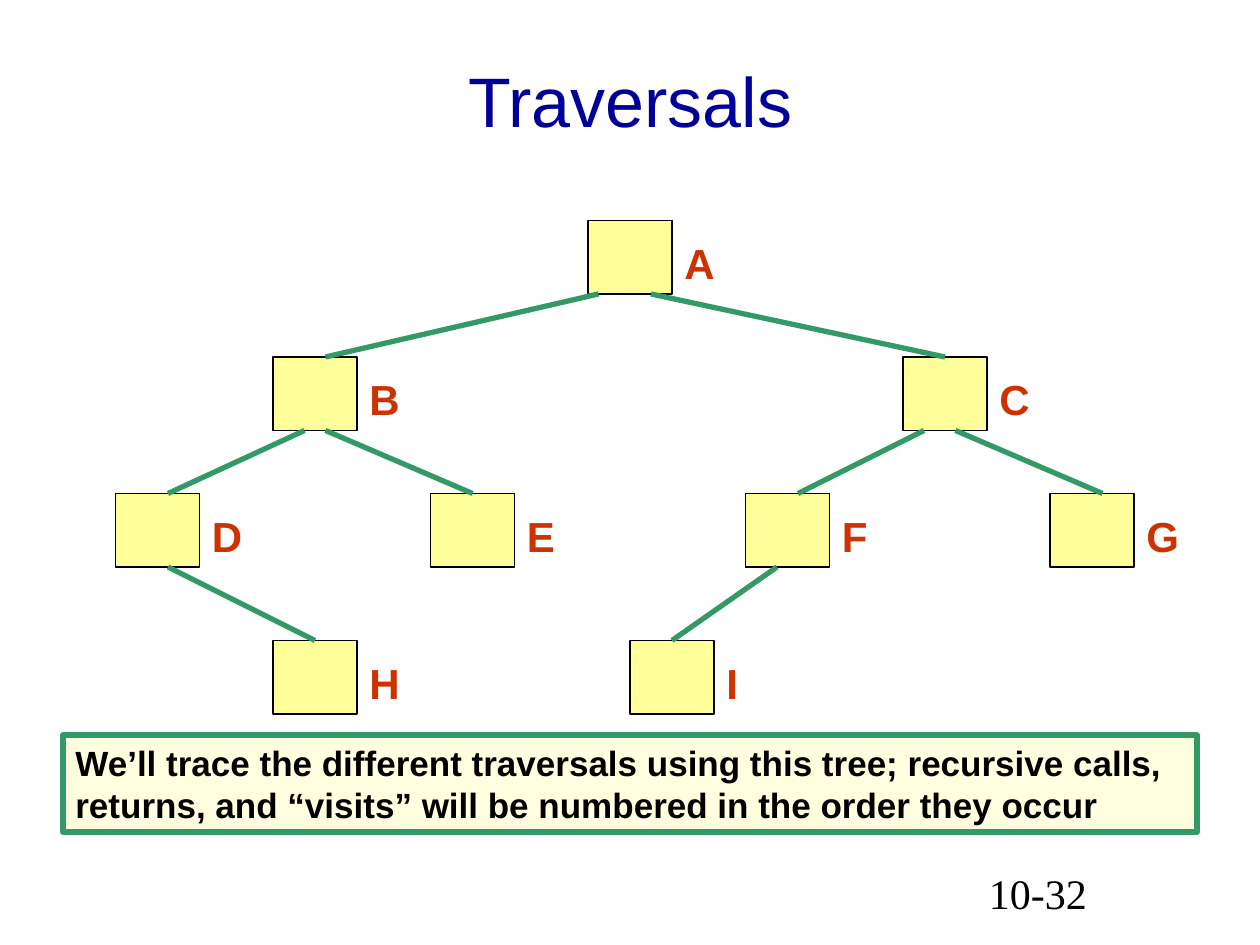
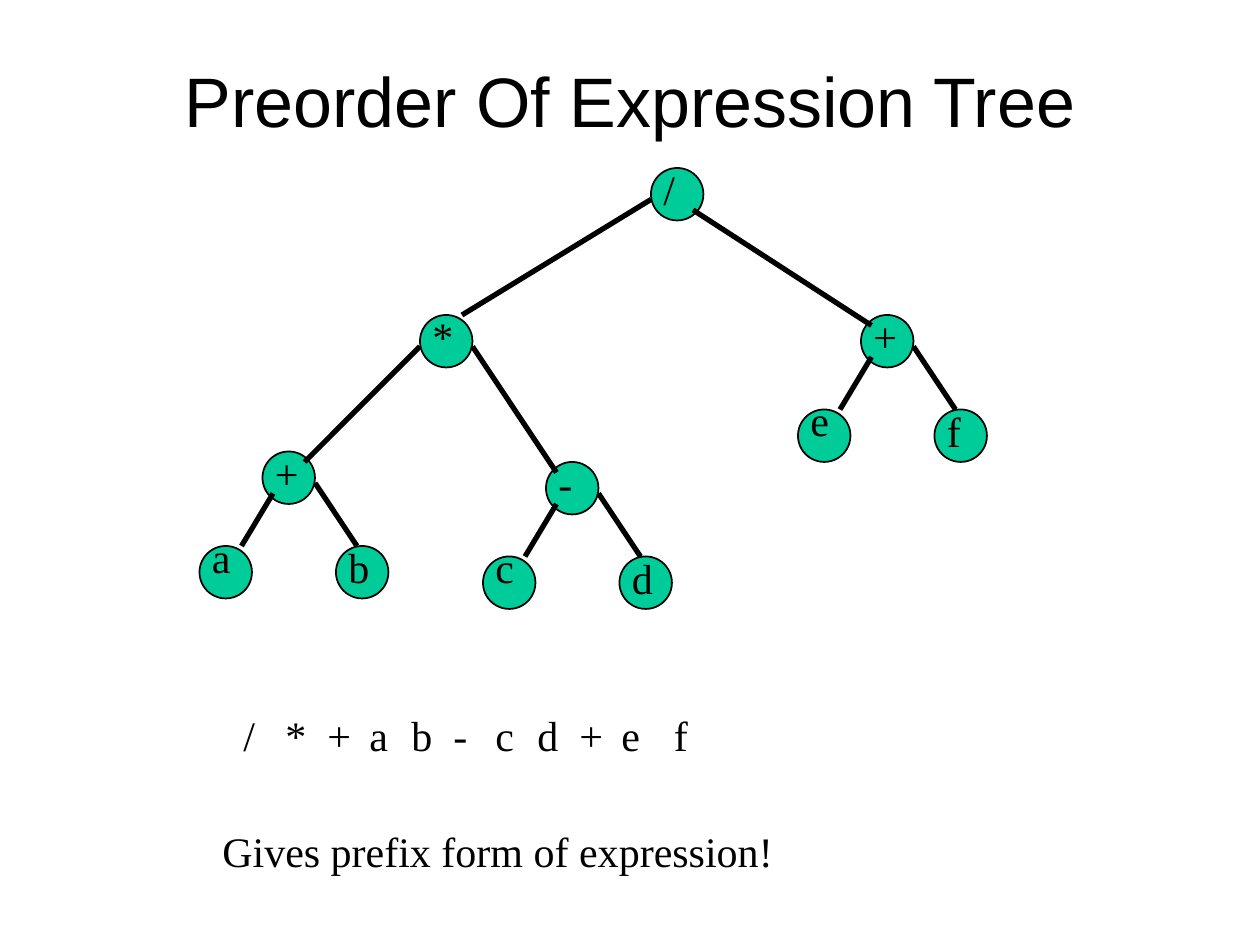
from lxml import etree
from pptx import Presentation
from pptx import util as u
from pptx.dml.color import RGBColor
from pptx.enum import shapes, text
from pptx.oxml.ns import qn

EMU_PER_PX = 9525  # 96 px to the inch
BLACK = RGBColor(0x00, 0x00, 0x00)
NAVY = RGBColor(0x00, 0x00, 0x99)
YELLOW = RGBColor(0xFF, 0xFF, 0x99)
CREAM = RGBColor(0xFF, 0xFF, 0xDF)
GREEN = RGBColor(0x33, 0x99, 0x66)
TEAL = RGBColor(0x00, 0xCC, 0x99)
RUST = RGBColor(0xCC, 0x33, 0x00)
SANS, SERIF = "Arial", "Times New Roman"
RECTANGLE, OVAL = shapes.MSO_SHAPE.RECTANGLE, shapes.MSO_SHAPE.OVAL


def px(*lengths):
    return [u.Emu(length * EMU_PER_PX) for length in lengths]


class Deck:
    """Holds the style, the current slide and the shapes being drawn on."""

    def __init__(self):
        self.presentation = Presentation()
        self.presentation.slide_width, self.presentation.slide_height = px(960, 720)

    def new_slide(self, title, color):
        layout = self.presentation.slide_layouts.get_by_name("Title Only")
        self.slide = self.presentation.slides.add_slide(layout)
        self.canvas = self.slide.shapes
        shape = self.slide.shapes.title
        shape.left, shape.top, shape.width, shape.height = px(72, 16, 816, 120)
        self.set_text(shape, title, SANS, 40, color, anchor=text.MSO_ANCHOR.MIDDLE,
                      align=text.PP_ALIGN.CENTER)

    def start_group(self):
        self.canvas = self.slide.shapes.add_group_shape().shapes

    def end_group(self):
        self.canvas = self.slide.shapes

    def set_text(self, shape, words, font, size, color, bold=False,
                 anchor=text.MSO_ANCHOR.TOP, align=text.PP_ALIGN.LEFT):
        frame = shape.text_frame
        frame.text = words
        frame.word_wrap = True
        frame.auto_size = text.MSO_AUTO_SIZE.NONE
        frame.vertical_anchor = anchor
        paragraph = frame.paragraphs[0]
        paragraph.alignment = align
        paragraph.font.name, paragraph.font.size = font, u.Pt(size)
        paragraph.font.bold = bold
        paragraph.font.color.rgb = color

    def label(self, words, x, y, width, font=SERIF, color=BLACK, bold=False):
        box = self.canvas.add_textbox(*px(x, y, width, 48))
        self.set_text(box, words, font, 24, color, bold)

    def shape(self, kind, x, y, width, height, fill, line=BLACK, weight=1):
        shape = self.canvas.add_shape(kind, *px(x, y, width, height))
        shape.shadow.inherit = False
        shape.fill.solid()
        shape.fill.fore_color.rgb = fill
        shape.line.color.rgb = line
        shape.line.width = u.Pt(weight)
        return shape

    def line(self, start, end, color=BLACK):
        connector = self.canvas.add_connector(
            shapes.MSO_CONNECTOR.STRAIGHT, *px(*start, *end))
        connector.line.color.rgb = color
        connector.line.width = u.Pt(3)
        properties = connector._element.find(qn("p:spPr"))
        etree.SubElement(properties, qn("a:effectLst"))

    def circle(self, symbol, x, y, rise=8):
        self.shape(OVAL, x, y, 40, 40, TEAL)
        self.label(symbol, x, y - rise, 40)

    def subtree(self, operator, left, right, x, y):
        self.circle(operator, x, y)
        self.circle(left, x - 48, y + 72, rise=16)
        self.circle(right, x + 56, y + 72)
        self.line((x + 8, y + 32), (x - 16, y + 72))
        self.line((x + 40, y + 24), (x + 72, y + 72))


def traversals(deck):
    deck.new_slide("Traversals", NAVY)
    deck.label("10-32", 744, 656, 200)

    # Nodes: left, top, label width
    node_width, node_height = 64, 56
    nodes = {
        "A": (448, 168, 128),
        "B": (208, 272, 160), "C": (688, 272, 152),
        "D": (88, 376, 128), "E": (328, 376, 136),
        "F": (568, 376, 144), "G": (800, 376, 56),
        "H": (208, 488, 128), "I": (480, 488, 128),
    }
    for x, y, _ in nodes.values():
        deck.shape(RECTANGLE, x, y, node_width, node_height, YELLOW, weight=0.75)

    # Edges: parent, offset along its bottom, child, offset along its top
    edges = [("A", 8, "B", 40), ("A", 48, "C", 32), ("B", 24, "D", 40),
             ("B", 40, "E", 32), ("C", 16, "F", 40), ("C", 40, "G", 40),
             ("D", 40, "H", 32), ("F", 24, "I", 32)]
    for parent, parent_offset, child, child_offset in edges:
        parent_x, parent_y, _ = nodes[parent]
        child_x, child_y, _ = nodes[child]
        deck.line((parent_x + parent_offset, parent_y + node_height),
                  (child_x + child_offset, child_y), GREEN)

    for name, (x, y, width) in nodes.items():
        deck.label(name, x + node_width, y + 8, width, SANS, RUST, bold=True)

    # Note
    note = deck.shape(RECTANGLE, 48, 560, 864, 74, CREAM, GREEN, 3)
    deck.set_text(note, "We’ll trace the different traversals using this tree; "
                  "recursive calls, returns, and “visits” will be numbered in the "
                  "order they occur", SANS, 20, BLACK, bold=True)


def expression_tree(deck):
    deck.new_slide("Preorder Of Expression Tree", BLACK)

    # Lower subtrees
    for subtree in [("+", "a", "b", 200, 344), ("-", "c", "d", 416, 352),
                    ("+", "e", "f", 656, 240)]:
        deck.start_group()
        deck.subtree(*subtree)
        deck.end_group()

    # Upper nodes and their edges
    deck.circle("*", 320, 240)
    deck.circle("/", 496, 128)
    for start, end in [((320, 264), (232, 352)), ((360, 264), (424, 360)),
                       ((496, 152), (352, 240)), ((528, 160), (664, 248))]:
        deck.line(start, end)

    # Prefix form
    for column, symbol in enumerate("/*+ab-cd+e"):
        deck.label(symbol, 176 + 32 * column, 536, 40)
    deck.label("f", 504, 536, 40)
    deck.label("Gives prefix form of expression!", 160, 624, 616)


def main():
    deck = Deck()
    traversals(deck)
    expression_tree(deck)
    deck.presentation.save("out.pptx")


if __name__ == "__main__":
    main()
